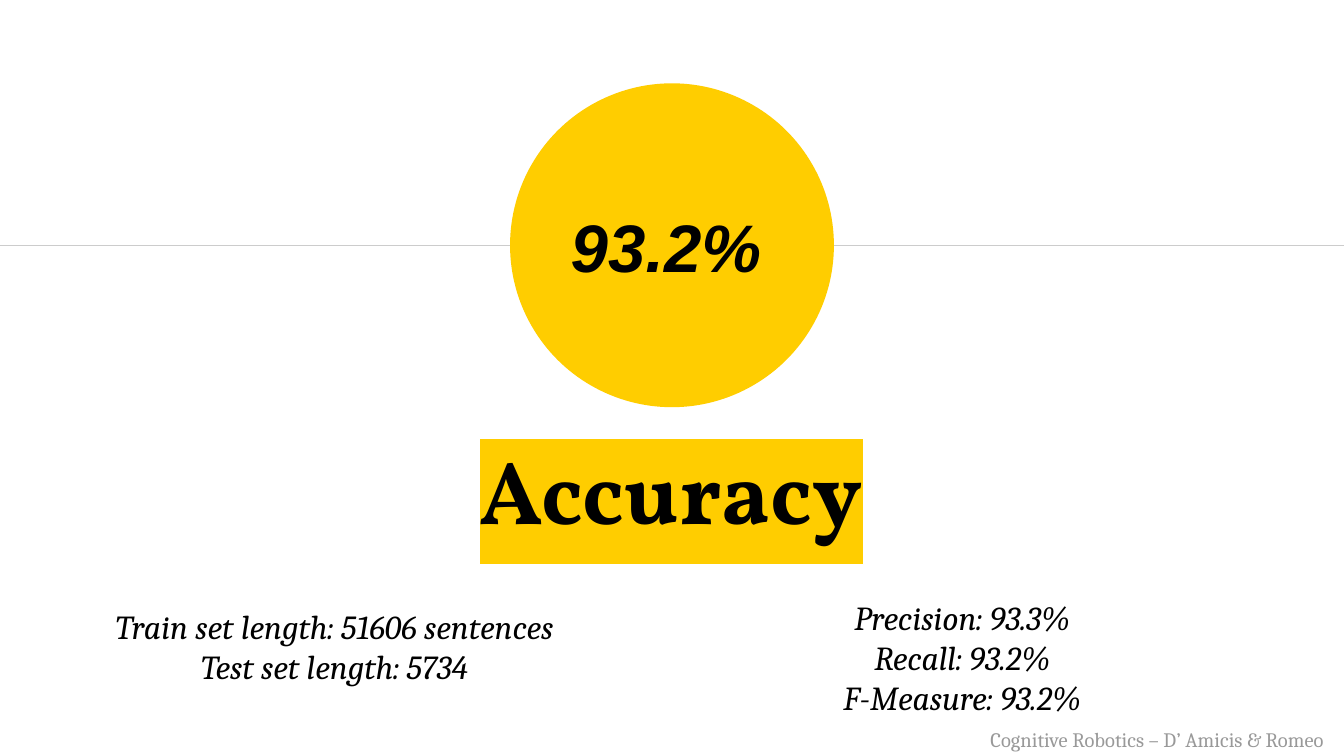
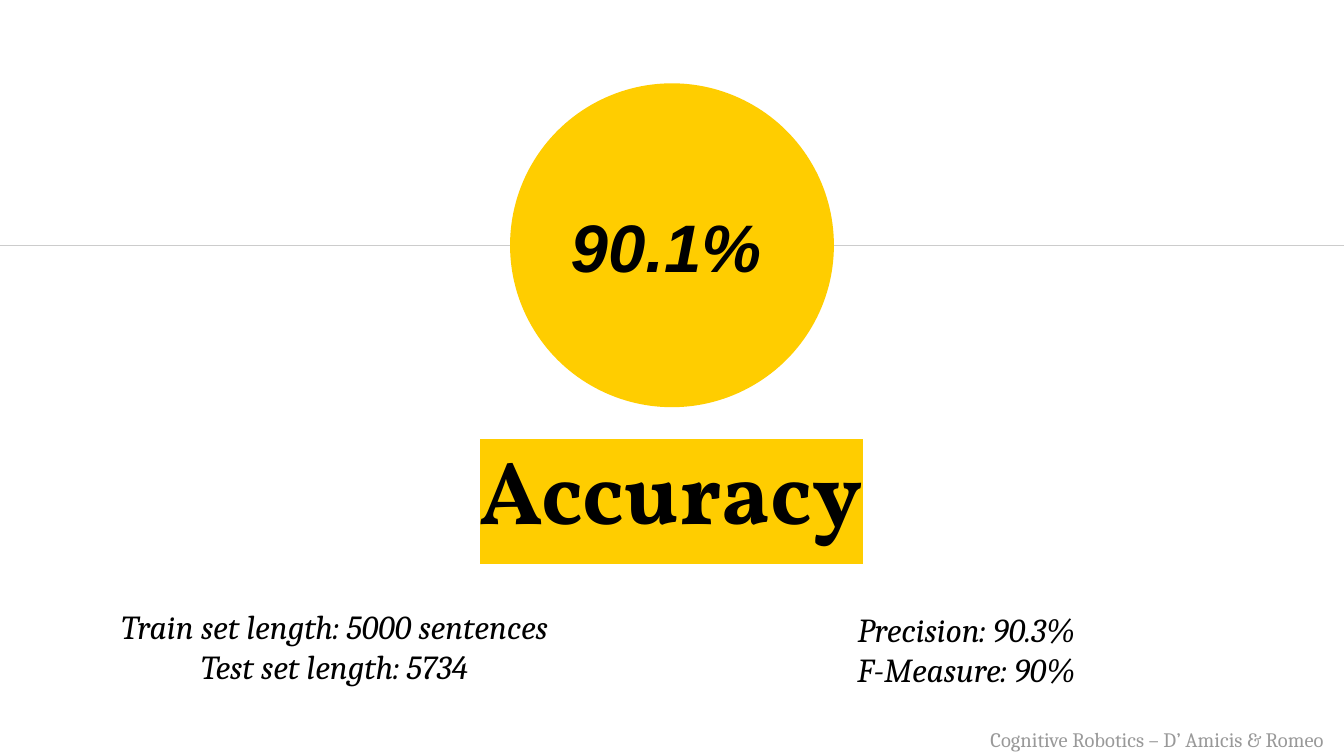
from dataclasses import dataclass

from lxml.etree import SubElement
from pptx import Presentation
from pptx.dml.color import RGBColor
from pptx.enum.shapes import MSO_CONNECTOR, MSO_SHAPE
from pptx.enum.text import MSO_ANCHOR, MSO_AUTO_SIZE, PP_ALIGN
from pptx.oxml.ns import qn
from pptx.util import Inches, Pt


@dataclass(frozen=True)
class Theme:
    accent: str = "FFCD00"
    ink: str = "000000"
    rule: str = "CCCCCC"
    muted: str = "999999"
    title_font: str = "Vollkorn"
    body_font: str = "Cambria"
    figure_font: str = "Arial"
    title_size: int = 48
    figure_size: int = 36
    body_size: int = 18
    footer_size: int = 11


THEME = Theme()
WIDTH = 10
HEIGHT = WIDTH * 9 / 16
CIRCLE_SIZE, CIRCLE_TOP = 2.41, 0.62
RULE_Y = CIRCLE_TOP + CIRCLE_SIZE / 2
FOOTER = "Cognitive Robotics – D’ Amicis & Romeo"

RESULTS = [
    {
        "accuracy": "93.2%",
        "data_sets": ["Train set length: 51606 sentences", "Test set length: 5734"],
        "metrics": ["Precision: 93.3%", "Recall: 93.2%", "F-Measure: 93.2%"],
        "metrics_at": (4.81, 4.34),
    },
    {
        "accuracy": "90.1%",
        "data_sets": ["Train set length: 5000 sentences", "Test set length: 5734"],
        "metrics": ["Precision: 90.3%", "F-Measure: 90%"],
        "metrics_at": (4.84, 4.43),
    },
]


def write_lines(shape, lines, font, size, color=THEME.ink, align=PP_ALIGN.CENTER,
                bold=False, italic=False, inset=0.1):
    """Fill a shape with one paragraph per line and return the last run."""
    frame = shape.text_frame
    frame.word_wrap = True
    frame.margin_left = frame.margin_right = Inches(0.1)
    frame.margin_top = frame.margin_bottom = Inches(inset)
    for index, line in enumerate(lines):
        paragraph = frame.add_paragraph() if index else frame.paragraphs[0]
        paragraph.alignment = align
        run = paragraph.add_run()
        run.text = line
        run.font.size = Pt(size)
        run.font.bold = bold
        run.font.italic = italic
        run.font.color.rgb = RGBColor.from_string(color)
        run.font.name = font
    return run


def highlight(run, color):
    properties = run._r.get_or_add_rPr()
    marker = SubElement(properties, qn("a:highlight"))
    SubElement(marker, qn("a:srgbClr")).set("val", color)
    properties.find(qn("a:solidFill")).addnext(marker)


presentation = Presentation()
presentation.slide_width = Inches(WIDTH)
presentation.slide_height = Inches(HEIGHT)

for result in RESULTS:
    slide = presentation.slides.add_slide(presentation.slide_layouts[6])
    shapes = slide.shapes

    title = shapes.add_textbox(Inches(2.13), Inches(3), Inches(5.73), Inches(1.27))
    title_run = write_lines(title, ["Accuracy"], THEME.title_font, THEME.title_size, bold=True)
    title.text_frame.vertical_anchor = MSO_ANCHOR.MIDDLE
    highlight(title_run, THEME.accent)

    data_sets = shapes.add_textbox(Inches(0.14), Inches(4.41), Inches(4.7), Inches(0.86))
    write_lines(data_sets, result["data_sets"], THEME.body_font, THEME.body_size, italic=True)

    rule = shapes.add_connector(MSO_CONNECTOR.STRAIGHT, 0, Inches(RULE_Y),
                                Inches(WIDTH), Inches(RULE_Y))
    rule.line.color.rgb = RGBColor.from_string(THEME.rule)
    rule.line.width = Pt(0.75)
    SubElement(rule._element.spPr, qn("a:effectLst"))

    circle = shapes.add_shape(MSO_SHAPE.OVAL, Inches((WIDTH - CIRCLE_SIZE) / 2),
                              Inches(CIRCLE_TOP), Inches(CIRCLE_SIZE), Inches(CIRCLE_SIZE))
    circle.shadow.inherit = False
    circle.fill.solid()
    circle.fill.fore_color.rgb = RGBColor.from_string(THEME.accent)
    circle.line.fill.background()
    write_lines(circle, [result["accuracy"]], THEME.figure_font, THEME.figure_size,
                align=PP_ALIGN.LEFT, bold=True, italic=True)
    circle.text_frame.vertical_anchor = MSO_ANCHOR.MIDDLE

    left, top = result["metrics_at"]
    metrics = shapes.add_textbox(Inches(left), Inches(top), Inches(4.7), Inches(1.1))
    write_lines(metrics, result["metrics"], THEME.body_font, THEME.body_size, italic=True)

    footer = shapes.add_textbox(Inches(7.27), Inches(5.36), Inches(2.82), Inches(0.29))
    write_lines(footer, [FOOTER], THEME.body_font, THEME.footer_size, THEME.muted,
                PP_ALIGN.LEFT, inset=0.05)
    footer.text_frame.word_wrap = False
    footer.text_frame.auto_size = MSO_AUTO_SIZE.SHAPE_TO_FIT_TEXT

presentation.save("out.pptx")
